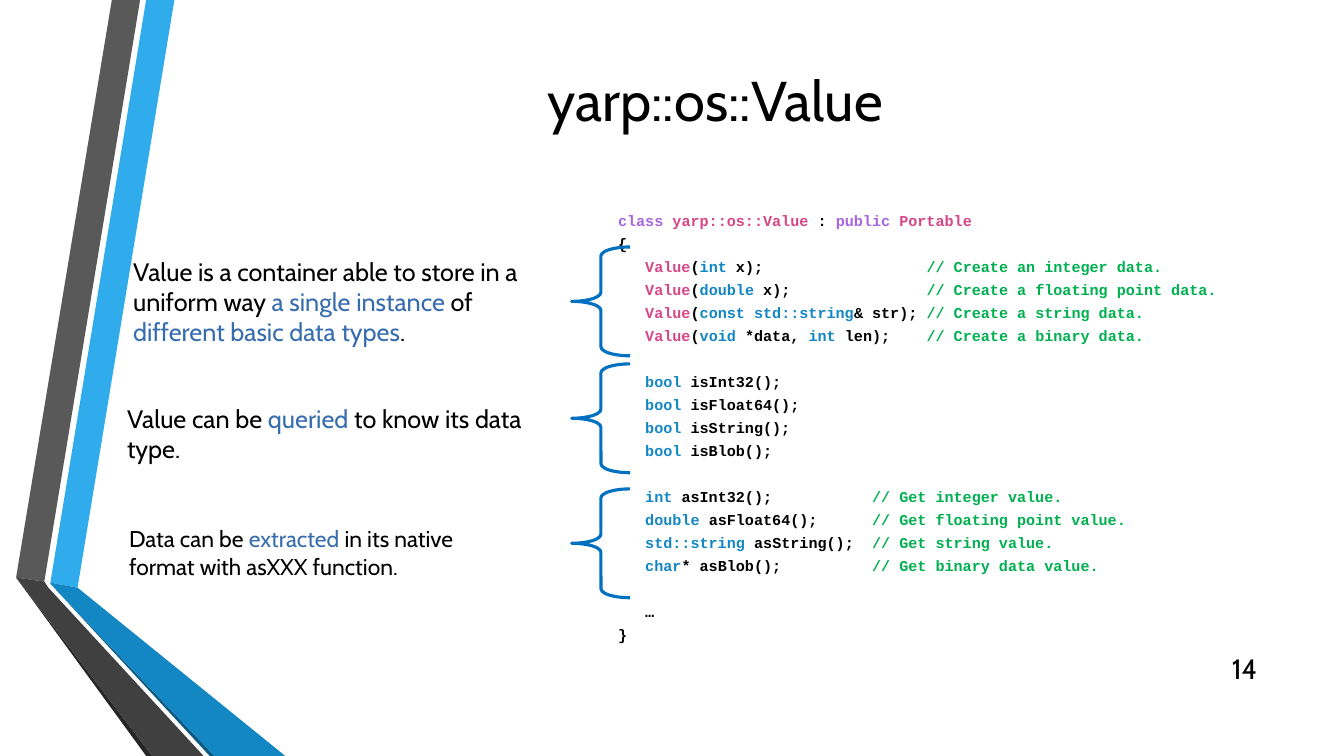
"""Builds the yarp::os::Value slide: ribbon, title, notes, braces and code."""
import dataclasses
import typing

import lxml.etree
import pptx
import pptx.dml.color
import pptx.enum.shapes
import pptx.enum.text
import pptx.oxml.ns
import pptx.util

Anchor = pptx.enum.text.MSO_ANCHOR
Align = pptx.enum.text.PP_ALIGN
Point = tuple[float, float]

COLS, ROWS = 133.3, 75
CELL = pptx.util.Inches(0.1)
CHAR = 0.9


@dataclasses.dataclass(frozen=True)
class Theme:
    sans: str = "Cabin"
    mono: str = "Courier New"
    title: float = 40
    page: float = 20
    note: float = 18
    small: float = 16.3
    code: float = 10.8
    pitch: float = 10.4
    after: float = 6
    brace: str = "0070C0"
    inks: typing.Mapping[str, str] = dataclasses.field(default_factory=lambda: {
        "n": "000000", "h": "376DAE", "v": "A666E1",
        "p": "D64787", "t": "1287C3", "g": "00B050"})


THEME = Theme()


class Box(typing.NamedTuple):
    col: float
    row: float
    wide: float
    high: float


class Band(typing.NamedTuple):
    fill: str
    points: list[Point]


class Line(typing.NamedTuple):
    mark: str
    gap: bool = False
    tab: int = 0


BANDS = [
    Band("30ACEC", [(5, 57.8), (7.7, 58.3), (17.3, 0), (14.5, 0)]),
    Band("595959", [(13.9, 0), (11.1, 0), (1.6, 57.3), (4.4, 57.7)]),
    Band("262626", [(1.6, 57.3), (14.5, ROWS), (15.1, ROWS)]),
    Band("0C5A82", [(5, 57.9), (20.8, ROWS), (21.3, ROWS)]),
    Band("1287C3", [(5, 57.9), (21.3, ROWS), (28.3, ROWS), (7.7, 58.3), (5, 57.8)]),
    Band("404040", [(20.2, ROWS), (4.8, 58.3), (4.4, 57.7), (1.6, 57.3), (15.1, ROWS)]),
]

BRACES = [Box(56.7, row, 5.8, 10.8) for row in (24.5, 36.1, 48.5)]

CODE = [
    Line("~vclass ~pyarp::os::Value ~n: ~vpublic ~pPortable"),
    Line("~n{"),
    Line("~n   ~pValue~n(~tint~n x);\t~g// Create an integer data.", tab=34),
    Line("~n   ~pValue~n(~tdouble~n x);\t~g// Create a floating point data.", tab=34),
    Line("~n   ~pValue~n(~tconst std::string~n& str);\t~g// Create a string data.", tab=34),
    Line("~n   ~pValue~n(~tvoid ~n*data, ~tint ~nlen);\t~g// Create a binary data.",
         gap=True, tab=34),
    Line("~n   ~tbool ~nisInt32();"),
    Line("~n   ~tbool ~nisFloat64();"),
    Line("~n   ~tbool ~nisString();"),
    Line("~n   ~tbool ~nisBlob();", gap=True),
    Line("~n   ~tint ~nasInt32();\t~g// Get integer value.", tab=28),
    Line("~n   ~tdouble ~nasFloat64();\t~g// Get floating point value.", tab=28),
    Line("~n   ~tstd::string ~nasString();\t~g// Get string value.", tab=28),
    Line("~n   ~tchar~n* asBlob();\t~g// Get binary data value.", gap=True, tab=28),
    Line("~n   …"),
    Line("~n}"),
]


def cells(count: float) -> int:
    """Turn grid cells into a length."""
    return round(count * CELL)


def ink(code: str) -> pptx.dml.color.RGBColor:
    """Turn a hex code into a colour."""
    return pptx.dml.color.RGBColor.from_string(code)


def draw_band(slide: typing.Any, band: Band) -> None:
    """Draw one piece of the folded ribbon."""
    start, *rest = [(cells(x), cells(y)) for x, y in band.points]
    maker = slide.shapes.build_freeform(*start)
    maker.add_line_segments(rest, close=True)
    shape = maker.convert_to_shape()
    shape.shadow.inherit = False
    shape.fill.solid()
    shape.fill.fore_color.rgb = ink(band.fill)
    shape.line.fill.background()


def draw_brace(slide: typing.Any, box: Box) -> None:
    """Draw a left brace beside a block of code."""
    kind = pptx.enum.shapes.MSO_SHAPE.LEFT_BRACE
    shape = slide.shapes.add_shape(kind, *map(cells, box))
    shape.adjustments[0] = 0.153
    shape.shadow.inherit = False
    shape.fill.background()
    shape.line.color.rgb = ink(THEME.brace)
    shape.line.width = pptx.util.Pt(2.25)


def set_tab(para: typing.Any, stop: float) -> None:
    """Add a left tab stop to a paragraph."""
    name = pptx.oxml.ns.qn
    tabs = lxml.etree.SubElement(para._p.get_or_add_pPr(), name("a:tabLst"))
    lxml.etree.SubElement(tabs, name("a:tab"), pos=str(cells(stop)), algn="l")


def write(slide: typing.Any, box: Box, lines: list[Line], *, size: float,
          font: str = THEME.sans, bold: bool = False, align: Align = Align.LEFT,
          anchor: Anchor = Anchor.TOP, pitch: float = 0, after: float = 0,
          pad: tuple[float, float, float, float] = (1.5, 0.5, 1, 0.5)) -> None:
    """Write marked lines, where a tilde and a letter pick the ink."""
    frame = slide.shapes.add_textbox(*map(cells, box)).text_frame
    frame.word_wrap = True
    frame.vertical_anchor = anchor
    (frame.margin_left, frame.margin_top,
     frame.margin_right, frame.margin_bottom) = map(cells, pad)
    for index, line in enumerate(lines):
        para = frame.add_paragraph() if index else frame.paragraphs[0]
        if line.tab:
            set_tab(para, line.tab * CHAR)
        para.alignment = align
        if pitch:
            para.line_spacing = pptx.util.Pt(pitch)
        extra = pitch + after if line.gap else 0
        para.space_after = pptx.util.Pt(after + extra)
        for part in line.mark.split("~")[1:]:
            run = para.add_run()
            run.text = part[1:]
            run.font.name = font
            run.font.size = pptx.util.Pt(size)
            run.font.bold = bold
            run.font.color.rgb = ink(THEME.inks[part[0]])


def main() -> None:
    """Build and save the deck."""
    deck = pptx.Presentation()
    deck.slide_width, deck.slide_height = cells(COLS), cells(ROWS)
    slide = deck.slides.add_slide(deck.slide_layouts[6])
    for band in BANDS:
        draw_band(slide, band)
    write(slide, Box(16.2, 0.2, 109.5, 19.2), [Line("~nyarp::os::Value")],
          size=THEME.title, align=Align.CENTER, anchor=Anchor.MIDDLE, pad=(1, 0.5, 1, 0.5))
    write(slide, Box(11.3, 31.4, 41.7, 27.9),
          [Line("~nData can be ~hextracted~n in its native format with asXXX function.")],
          size=THEME.small, anchor=Anchor.BOTTOM, pad=(1.5, 0.5, 2, 1.8))
    write(slide, Box(59.8, 19.2, 68.6, 46.7), CODE, size=THEME.code, font=THEME.mono,
          bold=True, pitch=THEME.pitch, after=THEME.after, pad=(1.5, 2.15, 1, 0.5))
    for brace in BRACES:
        draw_brace(slide, brace)
    write(slide, Box(11.7, 24.9, 44.9, 10.1),
          [Line("~nValue is a container able to store in a uniform way "
                "~ha single instance ~nof ~hdifferent basic data types~n.")], size=THEME.note)
    write(slide, Box(11.1, 39.5, 42.1, 7.1),
          [Line("~nValue can be ~hqueried~n to know its data type.")], size=THEME.note)
    write(slide, Box(119.7, 64.3, 6, 4), [Line("~n14")], size=THEME.page,
          align=Align.RIGHT, anchor=Anchor.MIDDLE, pad=(1, 0.5, 1, 0.5))
    deck.save("out.pptx")


if __name__ == "__main__":
    main()
